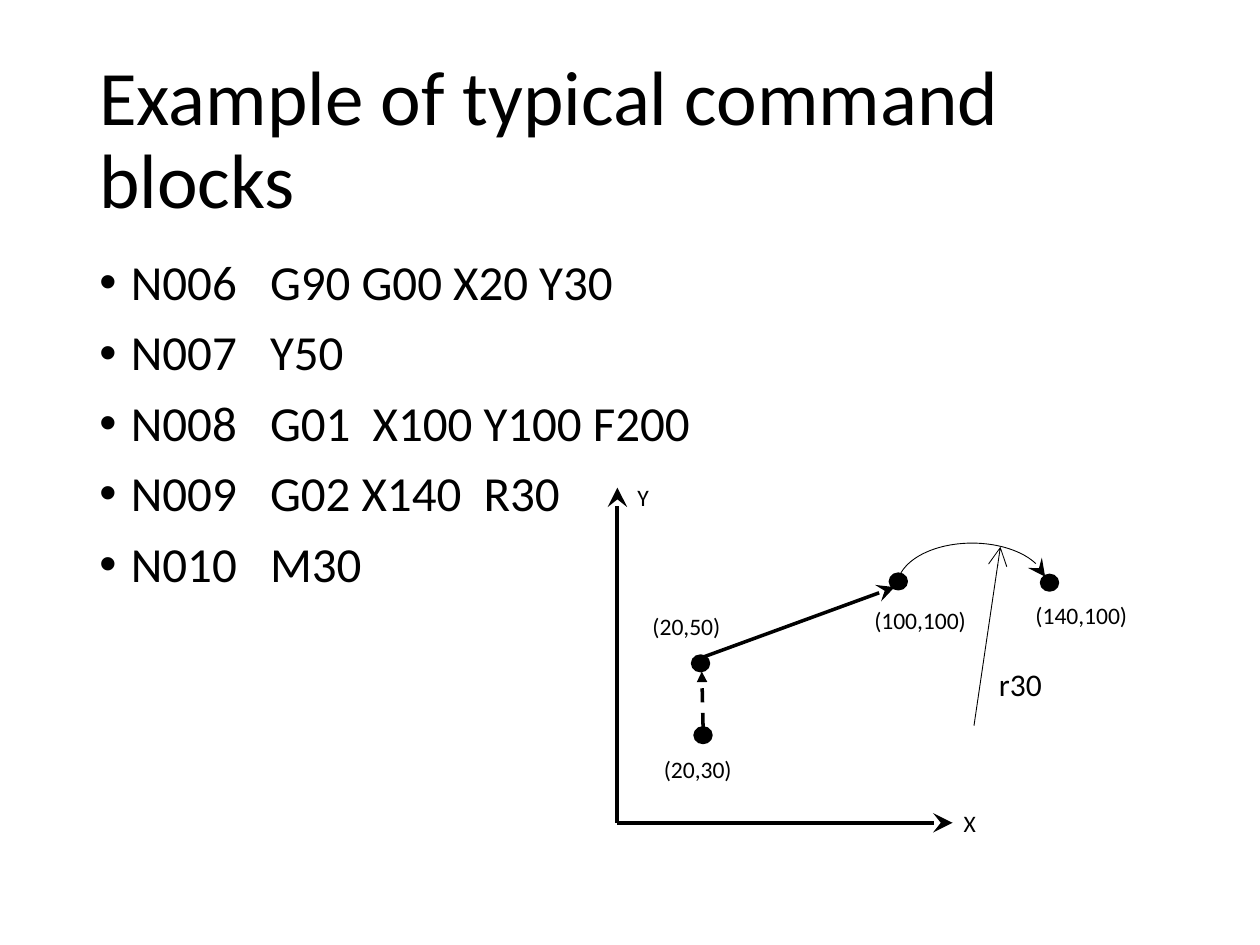
"""Build a slide of CNC command blocks with a diagram of the tool path."""
from dataclasses import dataclass
from typing import Any

import pptx
import pptx.dml.color
import pptx.enum.dml
import pptx.enum.shapes
import pptx.enum.text
import pptx.oxml.ns
import pptx.oxml.xmlchemy
import pptx.util
from lxml import etree

Inches = pptx.util.Inches
Pt = pptx.util.Pt
qn = pptx.oxml.ns.qn
Shapes = pptx.enum.shapes.MSO_SHAPE
Anchor = pptx.enum.text.MSO_ANCHOR
AutoSize = pptx.enum.text.MSO_AUTO_SIZE

BLACK = "000000"
FONT = "Calibri"
DOT_WIDTH, DOT_HEIGHT = 0.14, 0.13
COMMANDS = (
    "N006   G90 G00 X20 Y30",
    "N007   Y50",
    "N008   G01  X100 Y100 F200",
    "N009   G02 X140  R30",
    "N010   M30",
)


@dataclass(frozen=True)
class Arrow:
    start: tuple[float, float]
    end: tuple[float, float]
    weight: float
    head: str = "stealth"
    head_size: str = "lg"
    dashed: bool = False


@dataclass(frozen=True)
class Label:
    text: str
    left: float
    top: float
    width: float = 0.75
    height: float = 0.33
    size: float = 13.5


ORIGIN = (4.9, 6.53)
ARROWS = (
    Arrow(ORIGIN, (7.56, 6.53), 2.25),
    Arrow(ORIGIN, (4.9, 3.87), 2.25),
    Arrow((5.58, 5.77), (5.57, 5.33), 2, "triangle", "med", True),
    Arrow((5.54, 5.23), (7.1, 4.66), 2),
    Arrow((7.73, 5.76), (7.94, 4.34), 0.5, "arrow"),
)
DOTS = ((5.51, 5.77), (5.49, 5.2), (7.06, 4.55), (8.26, 4.56))
LABELS = (
    Label("(20,30)", 5.17, 5.94),
    Label("(20,50)", 5.08, 4.81),
    Label("(100,100)", 6.84, 4.76, 1.11),
    Label("(140,100)", 8.12, 4.72, 1.06),
    Label("X", 7.55, 6.37),
    Label("Y", 4.96, 3.78, 0.53),
    Label("r30", 7.83, 5.23, 0.57, 0.4, 18),
)


def color(value: str) -> pptx.dml.color.RGBColor:
    """Turn a hex string into a colour."""
    return pptx.dml.color.RGBColor.from_string(value)


def apply(target: Any, values: dict[str, Any]) -> None:
    """Set every listed attribute on the target."""
    for name, value in values.items():
        setattr(target, name, value)


def add_text(page: Any, area: tuple[float, ...], lines: tuple[str, ...], size: float,
             frame_format: dict[str, Any], paragraph_format: dict[str, Any],
             bulleted: bool = False) -> None:
    """Add a text box with one paragraph per line."""
    box = page.shapes.add_textbox(*map(Inches, area))
    frame = box.text_frame
    apply(frame, {"word_wrap": True, **frame_format})
    for index, line in enumerate(lines):
        para = frame.paragraphs[0] if index == 0 else frame.add_paragraph()
        apply(para, paragraph_format)
        if index:
            para.space_before = Pt(10)
        if bulleted:
            properties = para._p.get_or_add_pPr()
            properties.set("marL", str(Inches(0.25)))
            properties.set("indent", str(Inches(-0.25)))
            etree.SubElement(properties, qn("a:buFont"), typeface="Arial")
            etree.SubElement(properties, qn("a:buChar"), char="•")
        span = para.add_run()
        span.text = line
        apply(span.font, {"name": FONT, "size": Pt(size)})
        span.font.color.rgb = color(BLACK)


def style_line(shape: Any, weight: float, head: str = "", head_size: str = "lg",
               dashed: bool = False) -> None:
    """Give a shape or connector its outline and optional arrowhead."""
    shape.line.color.rgb = color(BLACK)
    shape.line.width = Pt(weight)
    if dashed:
        shape.line.dash_style = pptx.enum.dml.MSO_LINE.DASH
    if head:
        outline = shape.element.spPr.find(qn("a:ln"))
        etree.SubElement(outline, qn("a:tailEnd"), type=head, w=head_size, len=head_size)


def add_arrow(page: Any, arrow: Arrow) -> None:
    """Draw a straight arrow."""
    line = page.shapes.add_connector(
        pptx.enum.shapes.MSO_CONNECTOR.STRAIGHT, *map(Inches, arrow.start + arrow.end))
    style_line(line, arrow.weight, arrow.head, arrow.head_size, arrow.dashed)
    etree.SubElement(line.element.spPr, qn("a:effectLst"))


def add_dot(page: Any, left: float, top: float) -> None:
    """Draw a path point."""
    dot = page.shapes.add_shape(
        Shapes.OVAL, *map(Inches, (left, top, DOT_WIDTH, DOT_HEIGHT)))
    dot.shadow.inherit = False
    dot.fill.solid()
    dot.fill.fore_color.rgb = color(BLACK)
    style_line(dot, 1)


def add_arc(page: Any) -> None:
    """Draw the clockwise arc between the last two points."""
    arc = page.shapes.add_shape(Shapes.ARC, *map(Inches, (7.37, 4.06, 0.69, 1.19)))
    arc.shadow.inherit = False
    arc.rotation = 270
    arc.adjustments[0] = 162
    arc.adjustments[1] = 49.37
    arc.fill.background()
    style_line(arc, 0.5, "stealth")


def add_label(page: Any, label: Label) -> None:
    """Write a diagram label."""
    add_text(page, (label.left, label.top, label.width, label.height), (label.text,),
             label.size, {"auto_size": AutoSize.SHAPE_TO_FIT_TEXT}, {})


def main() -> None:
    """Build and save the deck."""
    deck = pptx.Presentation()
    apply(deck, {"slide_width": Inches(10), "slide_height": Inches(7.5)})
    page = deck.slides.add_slide(deck.slide_layouts[6])
    add_text(page, (0.69, 0.4, 8.62, 1.45), ("Example of typical command blocks",), 44,
             {"vertical_anchor": Anchor.MIDDLE}, {"line_spacing": 0.9})
    add_text(page, (0.69, 2, 8.62, 4.76), COMMANDS, 28,
             {"vertical_anchor": Anchor.TOP}, {"line_spacing": 0.9}, bulleted=True)
    for arrow in ARROWS:
        add_arrow(page, arrow)
    for left, top in DOTS:
        add_dot(page, left, top)
    add_arc(page)
    for label in LABELS:
        add_label(page, label)
    deck.save("out.pptx")


if __name__ == "__main__":
    main()
